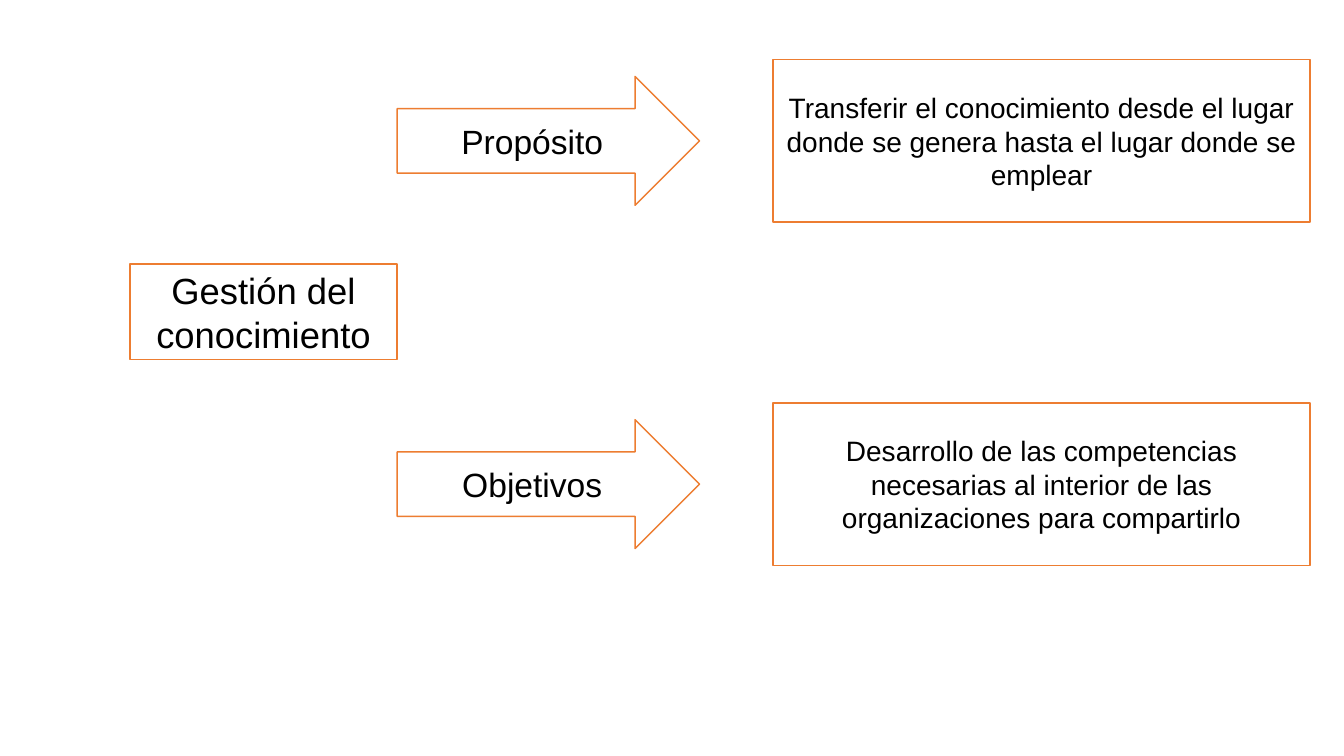
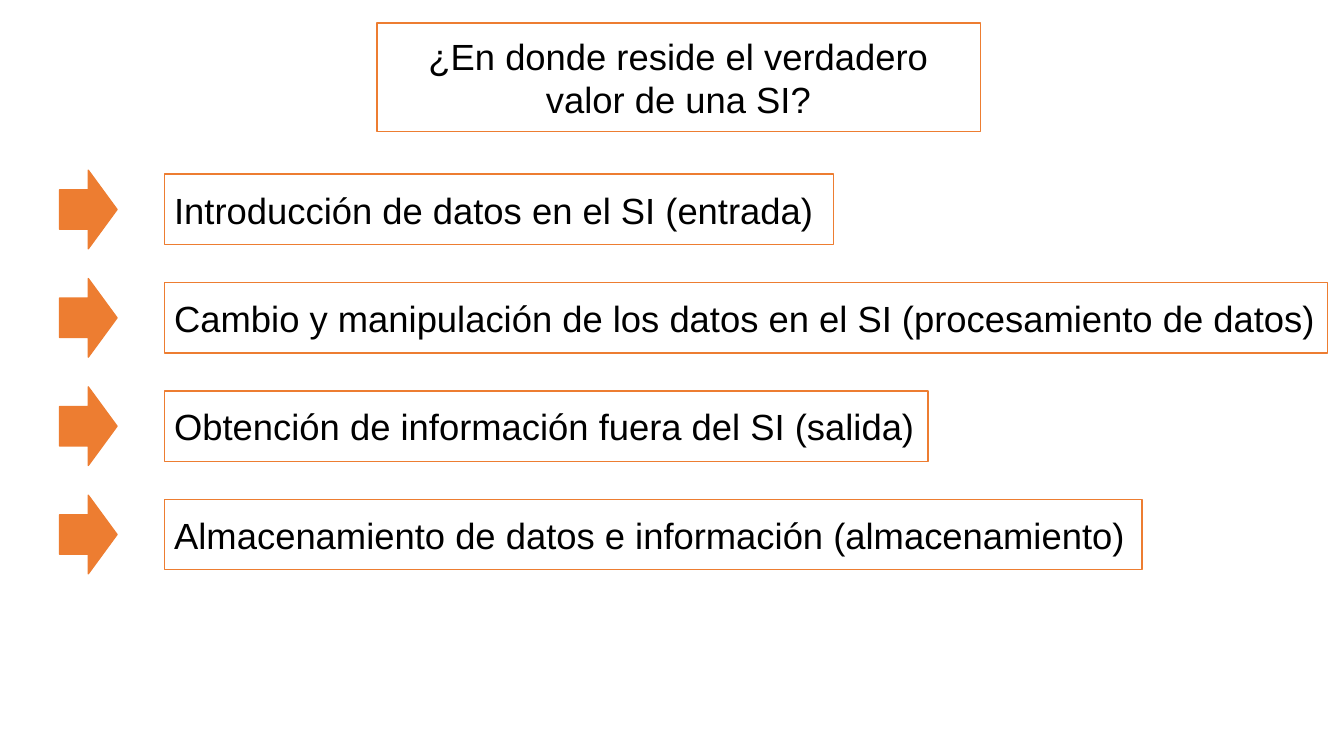
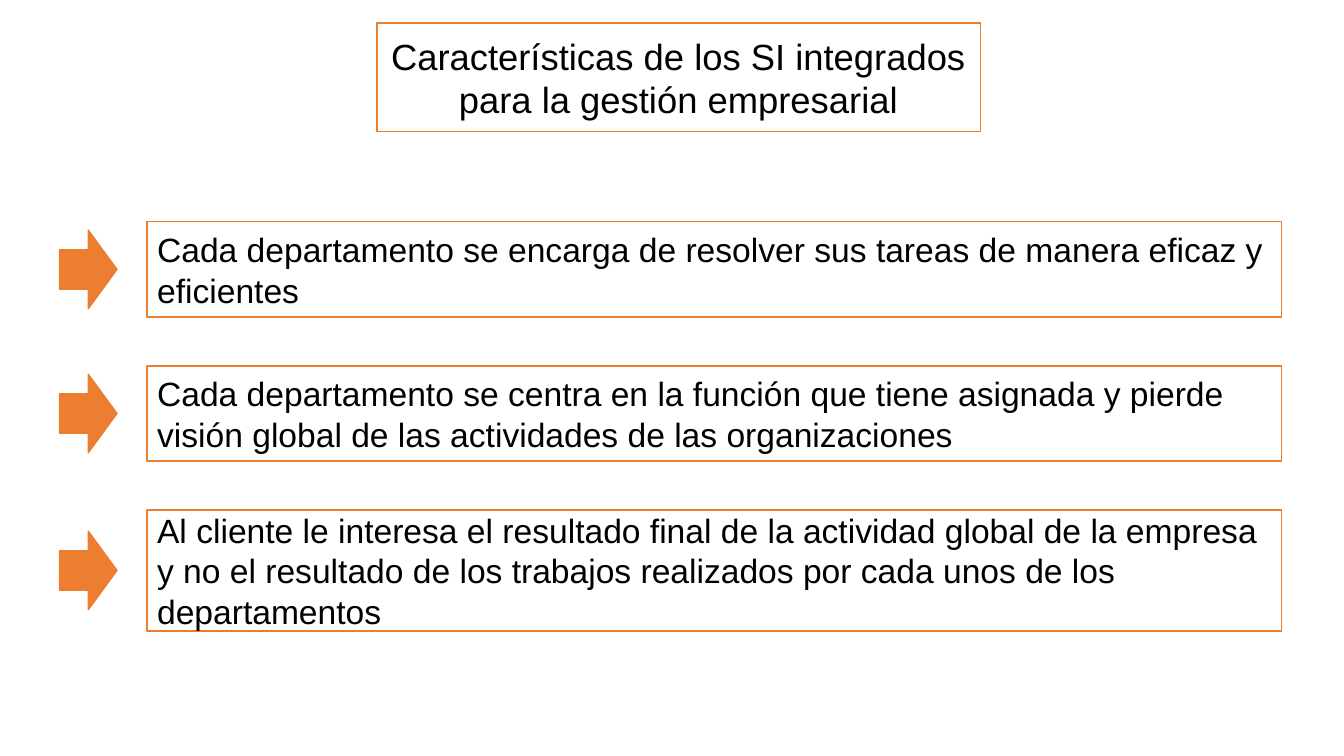
from dataclasses import dataclass
from pptx import Presentation
from pptx.dml.color import RGBColor
from pptx.enum.shapes import MSO_SHAPE
from pptx.enum.text import MSO_ANCHOR, PP_ALIGN
from pptx.util import Cm, Pt


@dataclass(frozen=True)
class Theme:
    accent: RGBColor = RGBColor(0xED, 0x7D, 0x31)
    paper: RGBColor = RGBColor(0xFF, 0xFF, 0xFF)
    ink: RGBColor = RGBColor(0x00, 0x00, 0x00)
    font: str = "Arial"
    heading: Pt = Pt(26)
    body: Pt = Pt(24)
    detail: Pt = Pt(20)
    outline: Pt = Pt(1)


theme = Theme()
deck = Presentation()
deck.slide_width, deck.slide_height = Cm(33.87), Cm(19.05)


def add_box(page, left, middle, width, height, text="", size=theme.heading,
            align=PP_ALIGN.CENTER, kind=MSO_SHAPE.RECTANGLE, fill=theme.paper):
    box = page.shapes.add_shape(kind, Cm(left), Cm(middle - height / 2), Cm(width), Cm(height))
    box.shadow.inherit = False
    box.fill.solid()
    box.fill.fore_color.rgb = fill
    box.line.color.rgb = theme.accent
    box.line.width = theme.outline
    if text:
        frame = box.text_frame
        frame.word_wrap = True
        frame.vertical_anchor = MSO_ANCHOR.MIDDLE
        para = frame.paragraphs[0]
        para.alignment = align
        span = para.add_run()
        span.text = text
        span.font.name = theme.font
        span.font.size = size
        span.font.color.rgb = theme.ink


def add_list_page(title, left, size, rows):
    page = deck.slides.add_slide(deck.slide_layouts[6])
    add_box(page, 9.5, 1.95, 15.21, 2.74, title)
    for middle, width, height, text in rows:
        add_box(page, 1.5, middle, 1.45, 1.98, kind=MSO_SHAPE.RIGHT_ARROW, fill=theme.accent)
        add_box(page, left, middle, width, height, text, size, PP_ALIGN.LEFT)


page = deck.slides.add_slide(deck.slide_layouts[6])
add_box(page, 3.28, 7.86, 6.73, 2.41, "Gestión del conocimiento")
branches = [
    ("Propósito", "Transferir el conocimiento desde el lugar donde se genera "
                  "hasta el lugar donde se emplear"),
    ("Objetivos", "Desarrollo de las competencias necesarias al interior de las "
                  "organizaciones para compartirlo"),
]
for index, (label, meaning) in enumerate(branches):
    middle = 3.55 + 8.65 * index
    add_box(page, 10.01, middle, 7.62, 3.25, label, theme.body, kind=MSO_SHAPE.RIGHT_ARROW)
    add_box(page, 19.48, middle, 13.54, 4.09, meaning, theme.detail)

activities = [
    (16.87, "Introducción de datos en el SI (entrada)"),
    (29.31, "Cambio y manipulación de los datos en el SI (procesamiento de datos)"),
    (19.25, "Obtención de información fuera del SI (salida)"),
    (24.64, "Almacenamiento de datos e información (almacenamiento)"),
]
activity_rows = [(5.28 + 2.73 * index, width, 1.78, text)
                 for index, (width, text) in enumerate(activities)]
add_list_page("¿En donde reside el verdadero valor de una SI?", 4.14, theme.heading, activity_rows)

features = [
    (2.4, "Cada departamento se encarga de resolver sus tareas de manera eficaz y eficientes"),
    (2.4, "Cada departamento se centra en la función que tiene asignada y pierde visión "
          "global de las actividades de las organizaciones"),
    (3.05, "Al cliente le interesa el resultado final de la actividad global de la empresa "
           "y no el resultado de los trabajos realizados por cada unos de los departamentos"),
]
feature_rows = []
top = 5.59
for height, text in features:
    feature_rows.append((top + height / 2, 28.58, height, text))
    top += height + 1.23
add_list_page("Características de los SI integrados para la gestión empresarial",
              3.71, theme.body, feature_rows)

deck.save("out.pptx")
